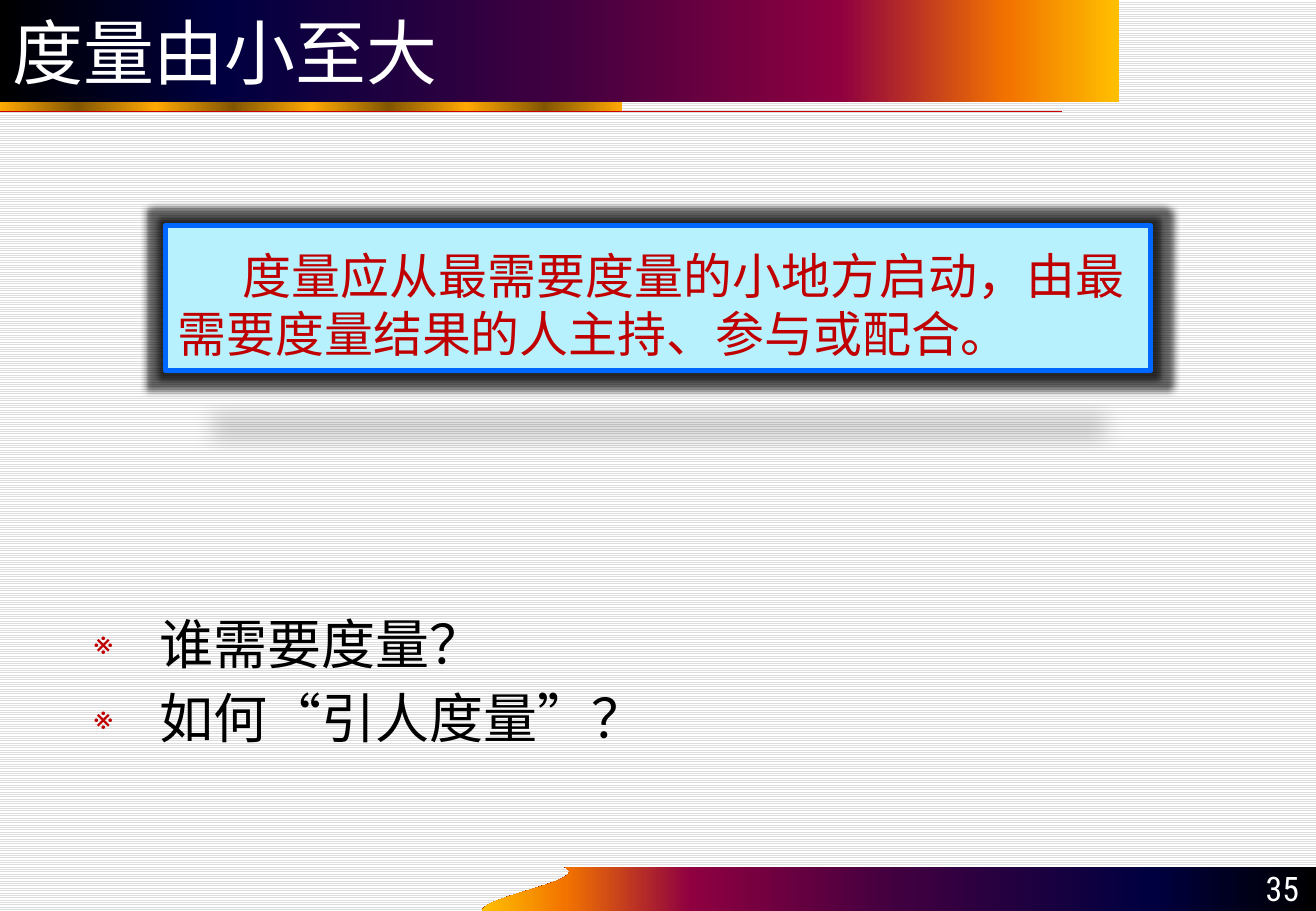
from dataclasses import dataclass

from lxml import etree
from pptx import Presentation
from pptx.dml.color import RGBColor
from pptx.enum.dml import MSO_PATTERN
from pptx.enum.lang import MSO_LANGUAGE_ID
from pptx.enum.shapes import MSO_CONNECTOR, MSO_SHAPE
from pptx.enum.text import MSO_ANCHOR, MSO_AUTO_SIZE, PP_ALIGN
from pptx.oxml.ns import qn
from pptx.util import Inches, Pt

HORIZONTAL = MSO_PATTERN.LIGHT_HORIZONTAL
CHINESE = MSO_LANGUAGE_ID.SIMPLIFIED_CHINESE
STRAIGHT = MSO_CONNECTOR.STRAIGHT
RECTANGLE = MSO_SHAPE.RECTANGLE
TOP, MIDDLE, BOTTOM = MSO_ANCHOR.TOP, MSO_ANCHOR.MIDDLE, MSO_ANCHOR.BOTTOM
NO_AUTOFIT = MSO_AUTO_SIZE.NONE
LEFT, RIGHT = PP_ALIGN.LEFT, PP_ALIGN.RIGHT


@dataclass(frozen=True)
class Theme:
    """Colours, fonts and type sizes of the slide."""
    white: str = "FFFFFF"
    black: str = "000000"
    red: str = "C00000"
    rule: str = "CC0000"
    stripe: str = "DDDDDD"
    panel: str = "B8F1FE"
    border: str = "0067FE"
    sunset: tuple = ((0, "000000"), (20, "000040"), (50, "400040"),
                     (75, "8F0040"), (90, "F27300"), (100, "FFBF00"))
    gold: tuple = tuple((step * 12.5, ("FFA800", "825600")[step % 2]) for step in range(9))
    sans: str = "DejaVu Sans"
    chinese: str = "Noto Sans CJK SC"
    condensed: str = "Roboto Condensed"
    title_size: int = 42
    list_size: int = 32
    panel_size: int = 29
    number_size: int = 20
    leading: float = 1.185


THEME = Theme()


def add_element(parent, tag, **attributes):
    """Append a drawing element with the given attributes."""
    values = {name: str(value) for name, value in attributes.items()}
    return etree.SubElement(parent, qn(tag), values)


def paint_gradient(shape, stops, angle=0):
    """Fill a shape with a linear gradient and no outline."""
    shape.fill.gradient()
    shape.fill.gradient_angle = angle
    stop_list = next(shape._element.iter(qn("a:gsLst")))
    for stop in list(stop_list):
        stop_list.remove(stop)
    for position, colour in stops:
        stop = add_element(stop_list, "a:gs", pos=int(position * 1000))
        add_element(stop, "a:srgbClr", val=colour)
    shape.line.fill.background()


def place(shape, box):
    """Move a shape to a box given in inches."""
    for name, value in zip(("left", "top", "width", "height"), box):
        setattr(shape, name, Inches(value))


def format_frame(frame, anchor, inset_top=0.05):
    """Set wrapping, anchor and insets of a text frame."""
    formats = {"word_wrap": True, "auto_size": NO_AUTOFIT, "vertical_anchor": anchor,
               "margin_left": Inches(0.1), "margin_right": Inches(0.1),
               "margin_top": Inches(inset_top), "margin_bottom": Inches(0.05)}
    for name, value in formats.items():
        setattr(frame, name, value)


def write(para, text, font, size, colour, align=LEFT):
    """Write one formatted span into a paragraph."""
    para.alignment = align
    span = para.add_run()
    span.text = text
    formats = {"name": font, "size": Pt(size), "bold": False, "language_id": CHINESE}
    for name, value in formats.items():
        setattr(span.font, name, value)
    span.font.color.rgb = RGBColor.from_string(colour)
    add_element(span._r.get_or_add_rPr(), "a:ea", typeface=THEME.chinese)


def indent(para, margin, first):
    """Set the left margin and first-line indent in inches."""
    properties = para._p.get_or_add_pPr()
    properties.set("marL", str(Inches(margin)))
    properties.set("indent", str(Inches(first)))
    return properties


def draw_background(page):
    """Cover the page with thin horizontal stripes."""
    fill = page.background.fill
    fill.patterned()
    fill.pattern = HORIZONTAL
    fill.fore_color.rgb = RGBColor.from_string(THEME.stripe)
    fill.back_color.rgb = RGBColor.from_string(THEME.white)


def draw_footer(page, box, number):
    """Draw the curved footer band and the page number at its right end."""
    left, top, width, height = box
    right, bottom = left + width, top + height
    curve = ((left, bottom), (left, bottom - height / 3),
             (left + 0.9, top + 0.11), (left + 0.68, top))
    points = []
    for step in range(25):
        t = step / 24
        weights = ((1 - t) ** 3, 3 * t * (1 - t) ** 2, 3 * t * t * (1 - t), t ** 3)
        points.append(tuple(Inches(sum(w * point[axis] for w, point in zip(weights, curve)))
                            for axis in (0, 1)))
    builder = page.shapes.build_freeform(Inches(right), Inches(bottom))
    builder.add_line_segments(points + [(Inches(right), Inches(top))], close=True)
    band = builder.convert_to_shape()
    band.shadow.inherit = False
    paint_gradient(band, THEME.sunset, 180)

    label = page.shapes.add_textbox(0, 0, 0, 0)
    place(label, (right - 1, top - 0.01, 0.96, 0.4))
    format_frame(label.text_frame, BOTTOM)
    write(label.text_frame.paragraphs[0], number, THEME.condensed,
          THEME.number_size, THEME.white, RIGHT)


def draw_header(page, box, text):
    """Draw the gold strip, the red rule and the title bar above them."""
    left, top, width, height = box
    strip = page.shapes.add_shape(RECTANGLE, 0, 0, 0, 0)
    place(strip, (left, top + height - 0.08, 5.12, 0.16))
    strip.shadow.inherit = False
    paint_gradient(strip, THEME.gold)

    level = Inches(top + height + 0.08)
    rule = page.shapes.add_connector(STRAIGHT, Inches(left), level, Inches(left + 8.74), level)
    rule.line.color.rgb = RGBColor.from_string(THEME.rule)
    rule.line.width = Pt(0.75)
    add_element(rule._element.spPr, "a:effectLst")

    title = page.shapes.title
    place(title, box)
    paint_gradient(title, THEME.sunset)
    format_frame(title.text_frame, MIDDLE)
    write(title.text_frame.paragraphs[0], text, THEME.sans, THEME.title_size, THEME.white)
    page.shapes._spTree.append(title._element)


def draw_panel(page, box, text):
    """Draw the bordered statement panel with its glow and cast shadow."""
    panel = page.shapes.add_shape(RECTANGLE, 0, 0, 0, 0)
    place(panel, box)
    panel.fill.solid()
    panel.fill.fore_color.rgb = RGBColor.from_string(THEME.panel)
    panel.line.color.rgb = RGBColor.from_string(THEME.border)
    panel.line.width = Pt(3)
    panel.shadow.inherit = False
    effects = panel._element.spPr.find(qn("a:effectLst"))
    glow = add_element(effects, "a:glow", rad=Pt(8))
    shadow = add_element(effects, "a:outerShdw", blurRad=Pt(12), dist=Pt(25),
                         dir=5400000, sx=90000, sy=-19000, rotWithShape=0)
    for effect, opacity in ((glow, 60), (shadow, 15)):
        colour = add_element(effect, "a:srgbClr", val=THEME.black)
        add_element(colour, "a:alpha", val=opacity * 1000)
    format_frame(panel.text_frame, MIDDLE, 0.15)
    para = panel.text_frame.paragraphs[0]
    indent(para, 0, 0.54)
    para.line_spacing = Pt(THEME.panel_size * THEME.leading)
    write(para, text, THEME.sans, THEME.panel_size, THEME.red)


def draw_questions(page, box, questions):
    """Fill the body placeholder with the bulleted questions."""
    body = page.placeholders[1]
    place(body, box)
    frame = body.text_frame
    format_frame(frame, TOP, 0.11)
    for index, question in enumerate(questions):
        para = frame.add_paragraph() if index else frame.paragraphs[0]
        properties = indent(para, 0.54, -0.54)
        colour = add_element(properties, "a:buClr")
        add_element(colour, "a:srgbClr", val=THEME.red)
        add_element(properties, "a:buSzPct", val=65000)
        add_element(properties, "a:buChar", char="※")
        para.space_before = Pt(THEME.list_size * 0.2 if index else 0)
        para.line_spacing = Pt(THEME.list_size * THEME.leading)
        write(para, question, THEME.chinese, THEME.list_size, THEME.black)


def main():
    """Build the slide and save the deck."""
    deck = Presentation()
    deck.slide_width, deck.slide_height = Inches(10.83), Inches(7.5)
    page = deck.slides.add_slide(deck.slide_layouts[1])
    draw_background(page)
    draw_footer(page, (3.97, 7.14, 6.86, 0.36), "35")
    draw_header(page, (0, 0, 9.21, 0.84), "度量由小至大")
    draw_questions(page, (0.67, 4.92, 9.48, 1.9), ("谁需要度量？", "如何“引人度量”？"))
    draw_panel(page, (1.36, 1.86, 8.11, 1.19),
               "度量应从最需要度量的小地方启动，由最需要度量结果的人主持、参与或配合。")
    deck.save("out.pptx")


if __name__ == "__main__":
    main()
